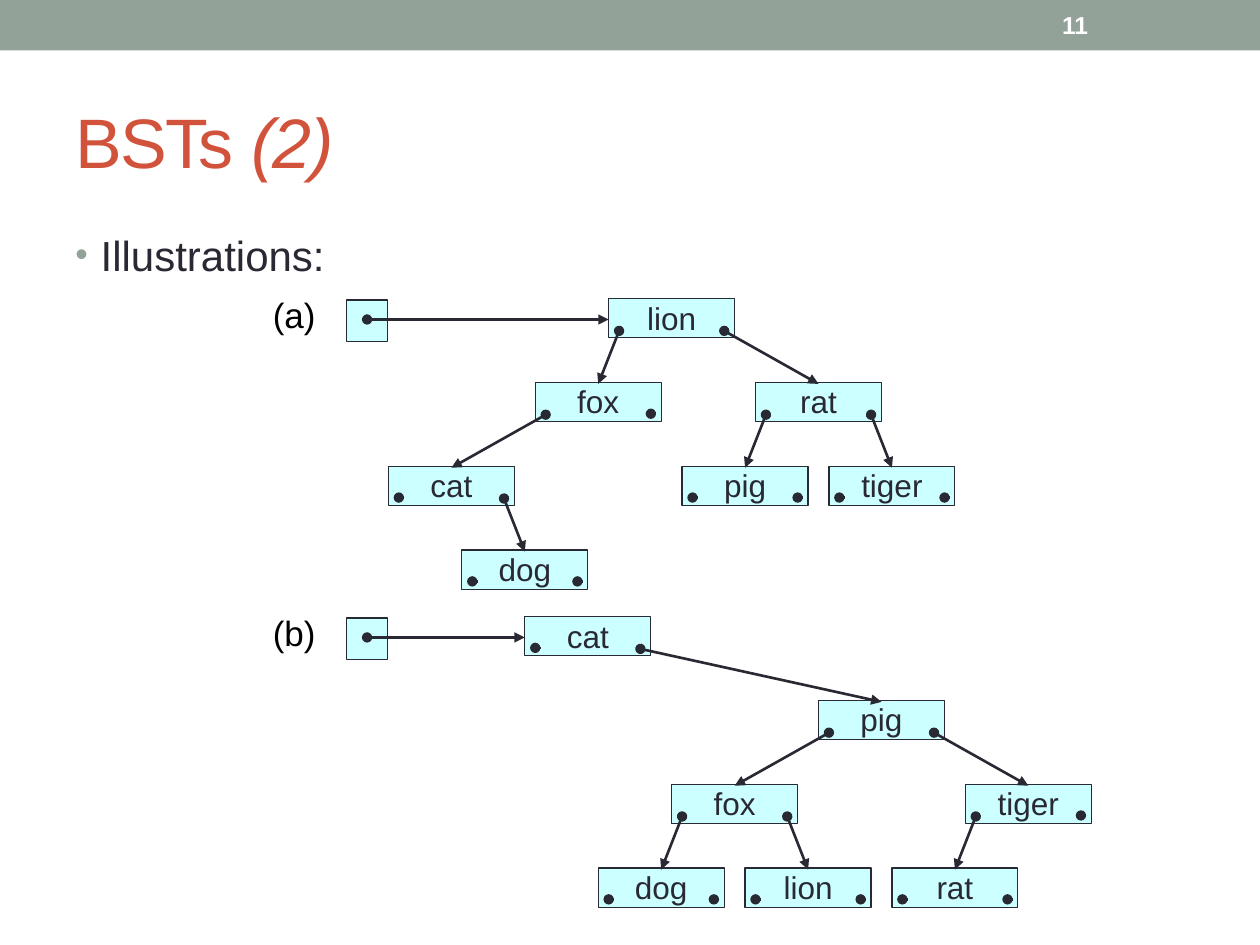
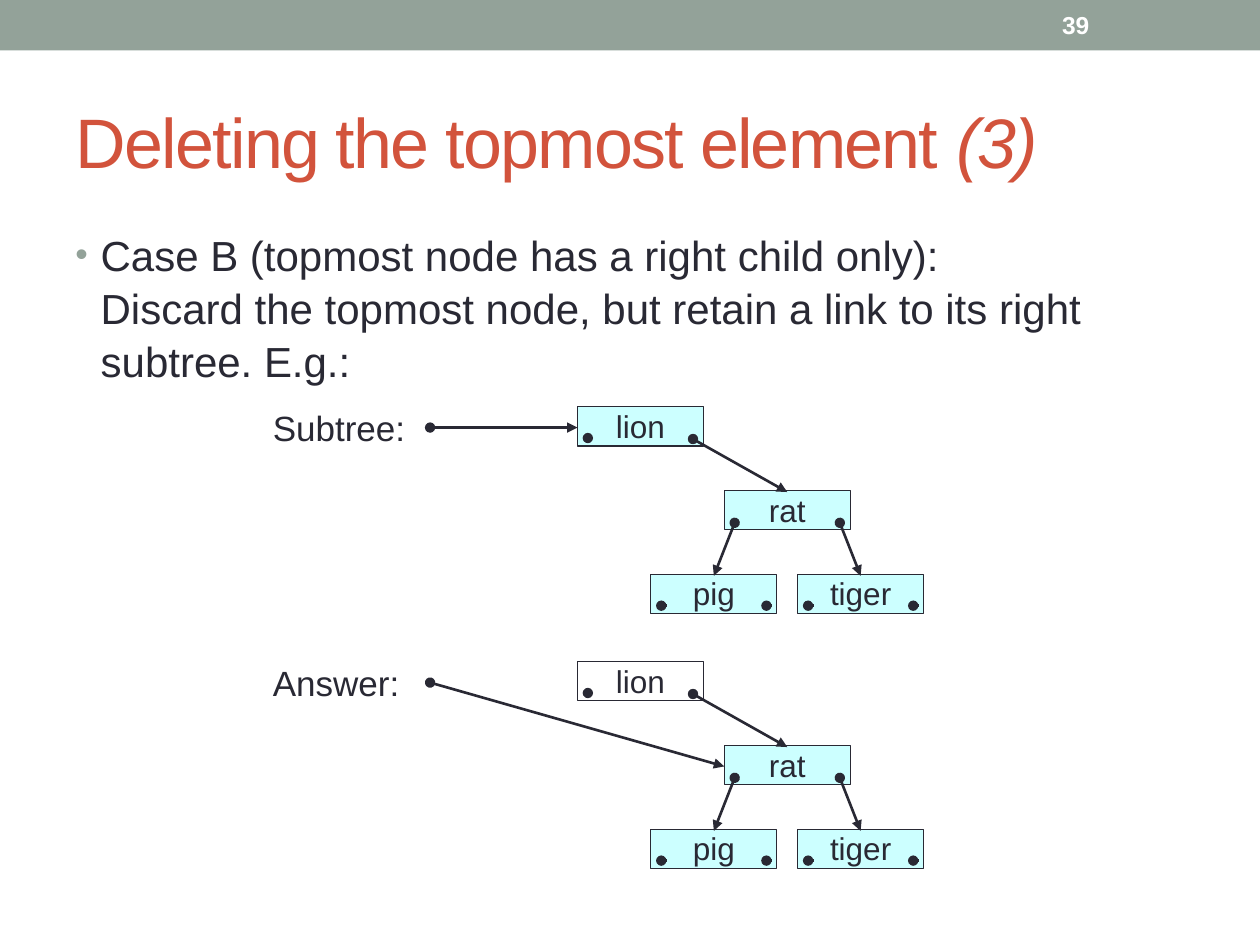
"""Build two slides that show binary search trees as linked nodes."""
from lxml import etree
from pptx import Presentation
from pptx.dml.color import RGBColor
from pptx.enum.shapes import MSO_CONNECTOR, MSO_SHAPE
from pptx.enum.text import MSO_ANCHOR, PP_ALIGN
from pptx.oxml.ns import qn
from pptx.util import Cm, Pt

RECT, STRAIGHT = MSO_SHAPE.RECTANGLE, MSO_CONNECTOR.STRAIGHT
TOP, MIDDLE = MSO_ANCHOR.TOP, MSO_ANCHOR.MIDDLE
LEFT, CENTER = PP_ALIGN.LEFT, PP_ALIGN.CENTER

COLORS = {"band": "93A299", "title": "D2533C", "ink": "292934",
          "node": "CCFFFF", "white": "FFFFFF", "black": "000000"}
FORMATS = {
    "title": {"size": Pt(40), "name": "Arial"},
    "body": {"size": Pt(24), "name": "Arial"},
    "label": {"size": Pt(20), "name": "Arial"},
    "node": {"size": Pt(18), "name": "Arial"},
    "number": {"size": Pt(14), "name": "Arial", "bold": True},
}
TIGHT = {"margin_left": 0, "margin_right": 0, "margin_top": 0,
         "margin_bottom": 0, "vertical_anchor": TOP, "word_wrap": True}
CENTERED = {"vertical_anchor": MIDDLE, "word_wrap": True}

COL_STEP, ROW_STEP = 1.48, 1.69
NODE_W, NODE_H = 2.54, 0.79
DOT_X, DOT_Y = (0.21, 2.33), 0.65
POINTER_Y = 0.42

# name: (column, row, left child, right child)
TREE_A = {"lion": (3, 0, "fox", "rat"), "fox": (2, 1, "cat", None),
          "rat": (5, 1, "pig", "tiger"), "cat": (0, 2, None, "dog"),
          "pig": (4, 2, None, None), "tiger": (6, 2, None, None),
          "dog": (1, 3, None, None)}
TREE_B = {"cat": (0, 0, None, "pig"), "pig": (4, 1, "fox", "tiger"),
          "fox": (2, 2, "dog", "lion"), "tiger": (6, 2, "rat", None),
          "dog": (1, 3, None, None), "lion": (3, 3, None, None),
          "rat": (5, 3, None, None)}
SUBTREE = {"lion": (0, 0, None, "rat"), "rat": (2, 1, "pig", "tiger"),
           "pig": (1, 2, None, None), "tiger": (3, 2, None, None)}

SLIDES = [
    {"number": "11", "title": ("BSTs ", "(2)"), "body": "Illustrations:",
     "label_color": "black", "label_dy": 0.03, "pointer_x": 7.4, "boxed": True,
     "trees": [("(a)", TREE_A, 7.83, 6.02, "lion", None),
               ("(b)", TREE_B, 10.58, 12.43, "cat", None)]},
    {"number": "39", "title": ("Deleting the topmost element ", "(3)"),
     "body": "Case B (topmost node has a right child only):\v"
             "Discard the topmost node, but retain a link to its right subtree. E.g.:",
     "label_color": "ink", "label_dy": 0.14, "pointer_x": 8.67, "boxed": False,
     "trees": [("Subtree:", SUBTREE, 11.64, 8.2, "lion", None),
               ("Answer:", SUBTREE, 11.64, 13.34, "rat", "lion")]},
]


def write(sp, text, style, color, frame, align=LEFT):
    tf = sp.text_frame
    for name, value in frame.items():
        setattr(tf, name, value)
    p = tf.paragraphs[0]
    p.text = text
    p.alignment = align
    for r in p.runs:
        for name, value in FORMATS[style].items():
            setattr(r.font, name, value)
        r.font.color.rgb = RGBColor.from_string(COLORS[color])
    return p


def link(s, x1, y1, x2, y2, arrow=True):
    line = s.shapes.add_connector(STRAIGHT, Cm(x1), Cm(y1), Cm(x2), Cm(y2))
    line.line.color.rgb = RGBColor.from_string(COLORS["ink"])
    line.line.width = Pt(1.5)
    ln = line.line._get_or_add_ln()
    etree.SubElement(ln, qn("a:headEnd"), type="oval")
    if arrow:
        etree.SubElement(ln, qn("a:tailEnd"), type="triangle")
    etree.SubElement(line._element.spPr, qn("a:effectLst"))


prs = Presentation()
prs.slide_width, prs.slide_height = Cm(25.4), Cm(19.05)

for page in SLIDES:
    s = prs.slides.add_slide(prs.slide_layouts[5])
    rects = [(0, 0, 25.4, 1.02, "band", None, None)]

    title = s.shapes.title
    title.left, title.top, title.width, title.height = Cm(1.27), Cm(1.47), Cm(22.86), Cm(2.74)
    p = write(title, page["title"][0], "title", "title", CENTERED)
    r = p.add_run()
    r.text = page["title"][1]
    r.font.italic = True
    for name, value in FORMATS["title"].items():
        setattr(r.font, name, value)
    r.font.color.rgb = RGBColor.from_string(COLORS["title"])
    for r in p.runs:
        r._r.get_or_add_rPr().set("spc", "-100")

    body = s.shapes.add_textbox(Cm(1.27), Cm(4.45), Cm(22.86), Cm(13.54))
    p = write(body, page["body"], "body", "ink", {"word_wrap": True})
    p.line_spacing = 1.05
    pPr = p._p.get_or_add_pPr()
    pPr.set("marL", str(Cm(0.51)))
    pPr.set("indent", str(Cm(-0.51)))
    bu_clr = etree.SubElement(pPr, qn("a:buClr"))
    etree.SubElement(bu_clr, qn("a:srgbClr"), val=COLORS["band"])
    etree.SubElement(pPr, qn("a:buSzPct"), val="85000")
    etree.SubElement(pPr, qn("a:buFont"), typeface="Arial")
    etree.SubElement(pPr, qn("a:buChar"), char="•")

    links = []
    for label, tree, left, top, target, freed in page["trees"]:
        sp = s.shapes.add_textbox(Cm(5.5), Cm(top + page["label_dy"]), Cm(2.7), Cm(0.71))
        p = write(sp, label, "label", page["label_color"], TIGHT)
        p.line_spacing = Pt(20)
        if page["boxed"]:
            rects.append((6.98, top + 0.03, 0.84, 0.84, "node", "ink", None))

        spots = {name: (left + col * COL_STEP, top + row * ROW_STEP)
                 for name, (col, row, *_) in tree.items()}
        x, y = spots[target]
        links.append((page["pointer_x"], top + POINTER_Y, x, y + POINTER_Y))
        for name, (_, _, *children) in tree.items():
            x, y = spots[name]
            fill = "white" if name == freed else "node"
            rects.append((x, y, NODE_W, NODE_H, fill, "ink", name))
            for dx, child in zip(DOT_X, children):
                if child:
                    cx, cy = spots[child]
                    links.append((x + dx, y + DOT_Y, cx + NODE_W / 2, cy + 0.03))
                else:
                    links.append((x + dx, y + DOT_Y - 0.02, x + dx + 0.1, y + DOT_Y - 0.02, False))

    for x, y, w, h, fill, line, text in rects:
        sp = s.shapes.add_shape(RECT, Cm(x), Cm(y), Cm(w), Cm(h))
        sp.shadow.inherit = False
        sp.fill.solid()
        sp.fill.fore_color.rgb = RGBColor.from_string(COLORS[fill])
        if line:
            sp.line.color.rgb = RGBColor.from_string(COLORS[line])
            sp.line.width = Pt(0.75)
        else:
            sp.line.fill.background()
        if text:
            write(sp, text, "node", "ink", TIGHT, CENTER)
    for ends in links:
        link(s, *ends)

    sp = s.shapes.add_textbox(Cm(21.16), Cm(0.05), Cm(2.97), Cm(0.91))
    write(sp, page["number"], "number", "white", CENTERED)

prs.save("out.pptx")
